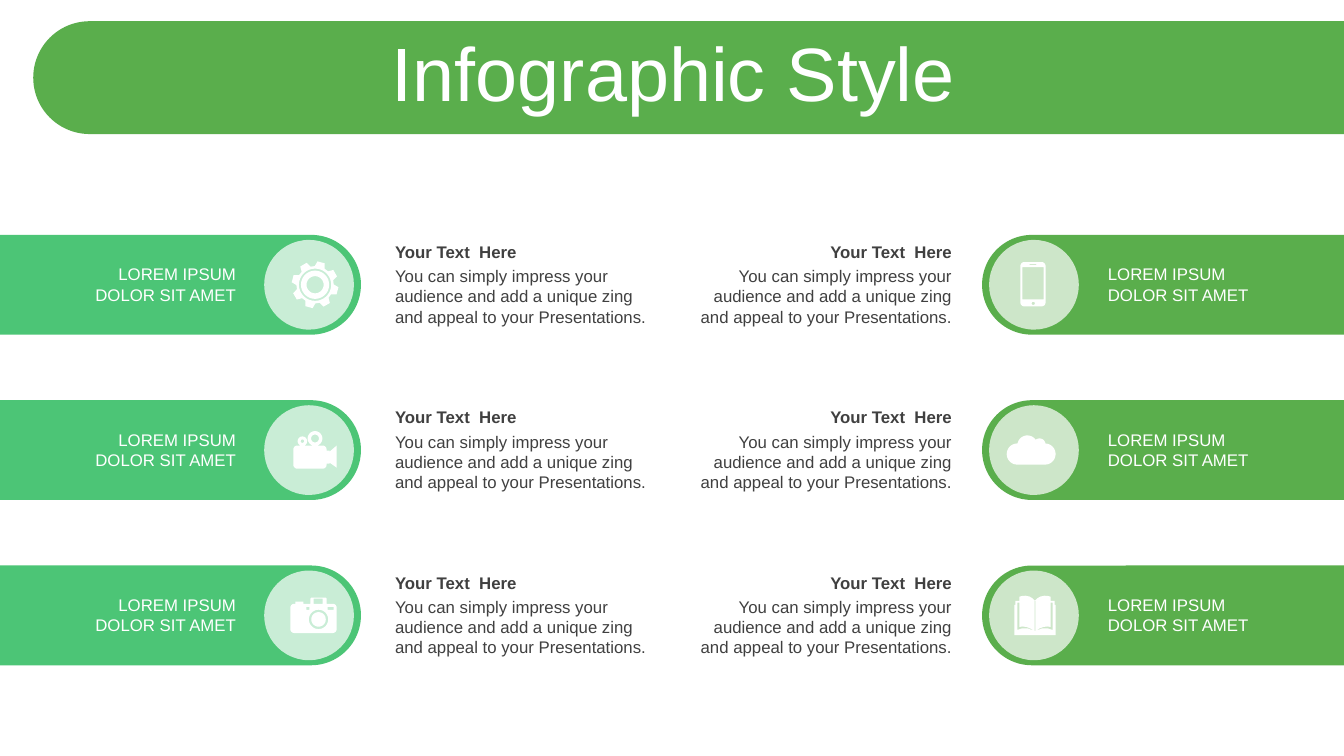
from math import cos, radians, sin

from lxml import etree
from pptx import Presentation
from pptx.dml.color import RGBColor
from pptx.enum.shapes import MSO_SHAPE
from pptx.enum.text import MSO_ANCHOR, PP_ALIGN
from pptx.oxml.ns import qn
from pptx.util import Inches, Pt

ROUND = MSO_SHAPE.ROUND_2_SAME_RECTANGLE
OVAL = MSO_SHAPE.OVAL
MIDDLE, TOP = MSO_ANCHOR.MIDDLE, MSO_ANCHOR.TOP
LEFT, CENTER, RIGHT = PP_ALIGN.LEFT, PP_ALIGN.CENTER, PP_ALIGN.RIGHT

COLORS = {"green": "5AAE4C", "mint": "4CC576", "white": "FFFFFF", "text": "404040"}
HEAD = "Your Text  Here"
BODY = ("You can simply impress your audience and add a unique zing "
        "and appeal to your Presentations.")
LABEL = ["LOREM IPSUM", "DOLOR SIT AMET"]
BAR_W, BAR_H, DISC = 3.59, 0.99, 0.89
FIRST, PITCH = 2.33, 1.64


def arc(x, y, r, start, end, step=10):
    count = max(2, round((end - start) / step))
    turns = [radians(start + (end - start) * i / count) for i in range(count + 1)]
    return [(x + r * cos(a), y + r * sin(a)) for a in turns]


def ring(x, y, r):
    return arc(x, y, r, 0, 350)


def rect(x, y, w, h):
    return [(x, y), (x + w, y), (x + w, y + h), (x, y + h)]


def soft(x, y, w, h, r):
    return (arc(x + r, y + r, r, 180, 270) + arc(x + w - r, y + r, r, 270, 360)
            + arc(x + w - r, y + h - r, r, 0, 90) + arc(x + r, y + h - r, r, 90, 180))


def gear():
    x, y = 50.5, 44.5
    teeth = []
    for mid in range(-75, 285, 45):
        for turn, r in ((-16, 18.5), (-9, 23.3), (9, 23.3), (16, 18.5)):
            a = radians(mid + turn)
            teeth.append((x + r * cos(a), y + r * sin(a)))
    return [teeth] + [ring(x, y, r) for r in (16, 14, 8.5)]


def phone():
    return [soft(31, 22, 25, 44, 4), rect(33, 27, 21, 32),
            soft(40, 24, 7, 1, 0.5), ring(43.8, 63, 1.6)]


def video():
    body = (arc(33, 44, 4, 180, 270) + arc(58, 44, 4, 270, 360)
            + [(62, 45), (65, 45), (65, 46), (72, 40), (72, 62),
               (65, 57), (65, 58), (62, 58)]
            + arc(58, 59, 4, 0, 90) + arc(33, 59, 4, 90, 180))
    return [body, ring(50.5, 33, 7.3), ring(50.5, 33, 3.9),
            ring(38, 35.7, 4.7), ring(38, 35.7, 1.7)]


def cloud():
    return [arc(28, 48.5, 10.5, 90, 270) + arc(38, 40, 10, 180, 325)
            + arc(50, 39, 6, 235, 360) + arc(55.5, 48.5, 10.5, 270, 450)]


def camera():
    body = (arc(30, 37, 4, 180, 270)
            + [(31, 33), (31, 31), (39, 31), (39, 33), (46, 33)]
            + arc(47, 28, 1, 180, 270) + arc(61, 28, 1, 270, 360) + [(62, 33)]
            + arc(68, 37, 4, 270, 360) + arc(68, 58, 4, 0, 90)
            + arc(30, 58, 4, 90, 180))
    return [body, ring(54, 48.5, 9.6), ring(54, 48.5, 7.2),
            rect(42, 36, 3, 3), rect(63, 36, 6, 3), rect(49, 28, 9, 5)]


def book():
    def flip(points):
        return [(91 - x, y) for x, y in reversed(points)]

    half = [(25, 64), (25, 34), (26, 34), (26, 30), (30, 30), (30, 26),
            (33, 25.2), (36, 25), (40, 25.8), (43, 27.5), (45.5, 30)]
    gap = [(30, 32), (28, 32), (28, 59), (33, 57.3), (38, 57.3), (45, 60),
           (41, 57.5), (37, 56), (33, 55.5), (30, 56)]
    return [half + flip(half), gap, flip(gap), rect(45.1, 30, 0.8, 30)]


def paint(shape, color):
    shape.fill.solid()
    shape.fill.fore_color.rgb = RGBColor.from_string(COLORS[color])
    shape.line.fill.background()
    shape.shadow.inherit = False


def bar(slide, x, y, w, h, color, turn):
    shape = slide.shapes.add_shape(ROUND, Inches(x + (w - h) / 2),
                                   Inches(y + (h - w) / 2), Inches(h), Inches(w))
    shape.rotation = turn
    shape.adjustments[0], shape.adjustments[1] = 0.5, 0
    paint(shape, color)


def write(slide, x, y, w, h, lines, size, color, align, anchor=TOP, bold=False):
    frame = slide.shapes.add_textbox(Inches(x), Inches(y), Inches(w), Inches(h)).text_frame
    frame.word_wrap = True
    frame.vertical_anchor = anchor
    frame.text = "\n".join(lines)
    for para in frame.paragraphs:
        para.alignment = align
        para.font.size = Pt(size)
        para.font.name = "Arial"
        para.font.bold = bold
        para.font.color.rgb = RGBColor.from_string(COLORS[color])
    return frame


def badge(slide, x, y, icon):
    disc = slide.shapes.add_shape(OVAL, Inches(x), Inches(y), Inches(DISC), Inches(DISC))
    paint(disc, "white")
    tint = disc.fill._xPr.find(".//" + qn("a:srgbClr"))
    etree.SubElement(tint, qn("a:alpha")).set("val", "70000")
    form = None
    for points in icon():
        points = [(px * 100, py * 100) for px, py in points]
        if form is None:
            form = slide.shapes.build_freeform(*points[0], scale=Inches(1) / 10000)
        else:
            form.move_to(*points[0])
        form.add_line_segments(points[1:], close=True)
    paint(form.convert_to_shape(Inches(x), Inches(y)), "white")


def banner(slide, x, y, w, h):
    bar(slide, x, y, w, h, "green", 270)
    frame = write(slide, x + 0.02, y + 0.16, w - 0.34, 0.79,
                  ["Infographic Style"], 54, "white", CENTER, MIDDLE)
    frame.paragraphs[0].line_spacing = 0.9


def entry(slide, y, icon, left):
    if left:
        x, disc, label, text = -0.01, 2.62, 0.41, 3.82
        color, turn, inner, outer = "mint", 90, LEFT, RIGHT
    else:
        x, disc, label, text = 9.74, 9.81, 10.89, 6.7
        color, turn, inner, outer = "green", 270, RIGHT, LEFT
    bar(slide, x, y, BAR_W, BAR_H, color, turn)
    badge(slide, disc, y + (BAR_H - DISC) / 2, icon)
    write(slide, text, y + 0.26, 2.84, 0.71, [BODY], 12, "text", inner)
    write(slide, text, y + 0.02, 2.84, 0.3, [HEAD], 12, "text", inner, bold=True)
    write(slide, label, y + 0.24, 2.03, 0.5, LABEL, 12, "white", outer, MIDDLE)


def main():
    deck = Presentation()
    deck.slide_width, deck.slide_height = Inches(13.33), Inches(7.5)
    slide = deck.slides.add_slide(deck.slide_layouts[6])
    banner(slide, 0.33, 0.21, 13, 1.12)
    for row, pair in enumerate([(gear, phone), (video, cloud), (camera, book)]):
        for icon, left in zip(pair, (True, False)):
            entry(slide, FIRST + row * PITCH, icon, left)
    deck.save("out.pptx")


if __name__ == "__main__":
    main()
